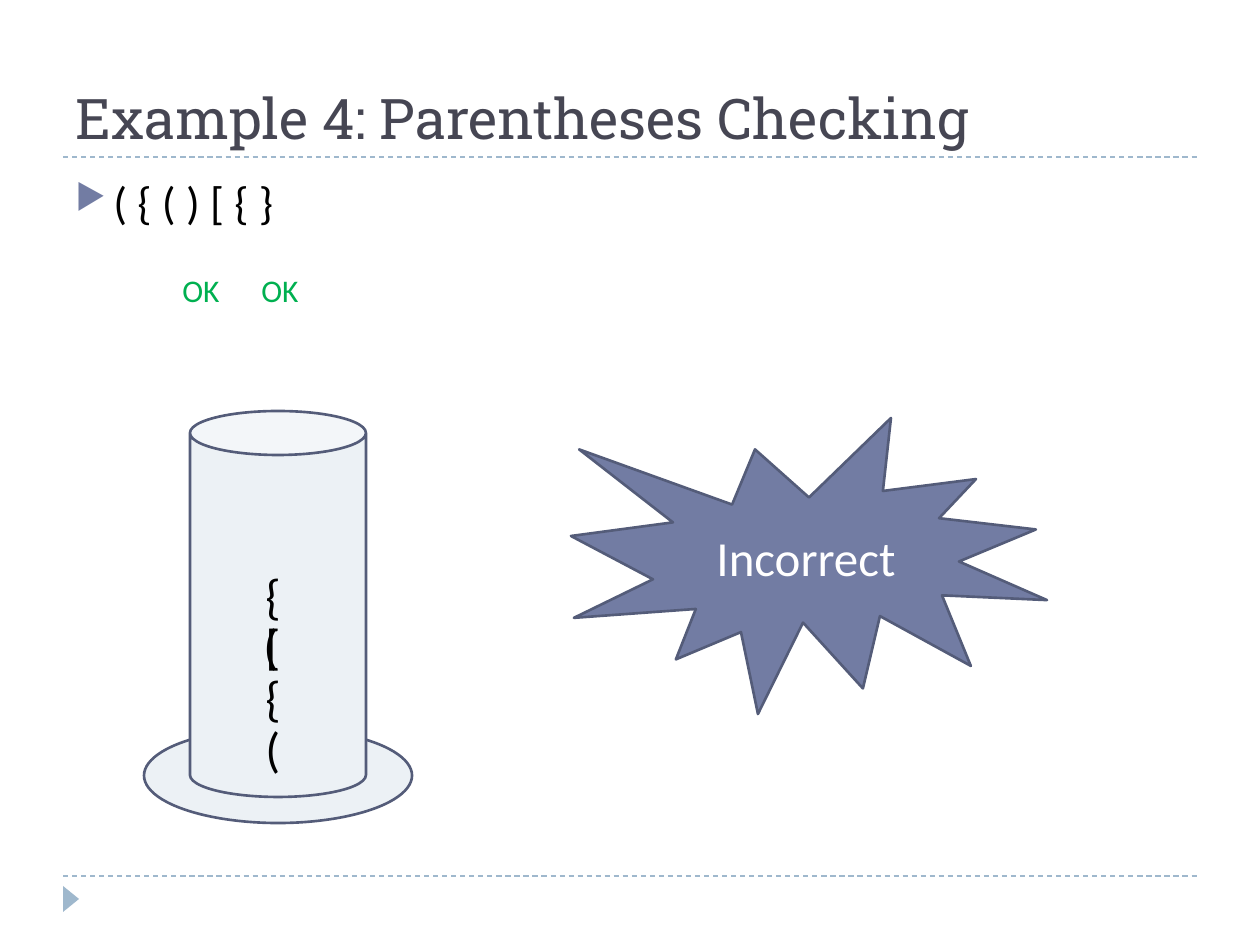
from lxml.etree import SubElement as Sub
from pptx import Presentation
from pptx.dml.color import RGBColor
from pptx.enum.dml import MSO_LINE as Dash
from pptx.enum.shapes import MSO_CONNECTOR as Conn, MSO_SHAPE as Kind
from pptx.enum.text import MSO_ANCHOR as Anchor, MSO_AUTO_SIZE as Fit, PP_ALIGN as Align
from pptx.oxml.ns import qn
from pptx.util import Pt

BLACK = RGBColor(0, 0, 0)
WHITE = RGBColor(255, 255, 255)
INK = RGBColor(0x46, 0x46, 0x53)
SLATE = RGBColor(0x72, 0x7C, 0xA3)
EDGE = RGBColor(0x54, 0x5C, 0x79)
PALE = RGBColor(0xEC, 0xF1, 0xF5)
SKY = RGBColor(0x9F, 0xB8, 0xCD)
GREEN = RGBColor(0x00, 0xB0, 0x50)


def px(n):
    return round(n * 914400 / 126)


def write(frame, text, size=28, color=BLACK, font="Calibri",
          align=Align.LEFT, anchor=Anchor.TOP):
    frame.vertical_anchor = anchor
    para = frame.paragraphs[0]
    para.alignment = align
    run = para.add_run()
    run.text = text
    run.font.size = Pt(size)
    run.font.name = font
    run.font.color.rgb = color
    return para


class Deck:
    def __init__(self, wide, high):
        self.show = Presentation()
        self.show.slide_width = px(wide)
        self.show.slide_height = px(high)
        self.slide = self.show.slides.add_slide(self.show.slide_layouts[5])
        self.items = self.slide.shapes

    def title(self, text, *box):
        head = self.items.title
        head.left, head.top, head.width, head.height = map(px, box)
        head.text_frame.word_wrap = True
        head.text_frame.auto_size = Fit.NONE
        write(head.text_frame, text, size=32, color=INK,
              font="Roboto Slab", anchor=Anchor.BOTTOM)

    def rule(self, left, right, y):
        line = self.items.add_connector(Conn.STRAIGHT, px(left), px(y), px(right), px(y))
        line.line.color.rgb = SKY
        line.line.width = Pt(0.75)
        line.line.dash_style = Dash.DASH
        Sub(line._element.spPr, qn("a:effectLst"))

    def shape(self, kind, *box, fill=PALE, edge=EDGE, turn=0):
        item = self.items.add_shape(kind, *map(px, box))
        item.shadow.inherit = False
        item.rotation = turn
        item.fill.solid()
        item.fill.fore_color.rgb = fill
        if edge is None:
            item.line.fill.background()
        else:
            item.line.color.rgb = edge
            item.line.width = Pt(1.5)
        return item

    def bullet(self, text, *box):
        frame = self.items.add_textbox(*map(px, box)).text_frame
        frame.word_wrap = True
        para = write(frame, text, size=26)
        para.space_before = Pt(6)
        props = para._p.get_or_add_pPr()
        props.set("marL", str(px(38)))
        props.set("indent", str(px(-38)))
        tint = Sub(props, qn("a:buClr"))
        Sub(tint, qn("a:srgbClr"), val=str(SLATE))
        Sub(props, qn("a:buSzPct"), val="76000")
        Sub(props, qn("a:buChar"), char="\u25b6")

    def label(self, text, *box, **style):
        frame = self.items.add_textbox(*map(px, box)).text_frame
        frame.word_wrap = False
        frame.auto_size = Fit.SHAPE_TO_FIT_TEXT
        write(frame, text, **style)


deck = Deck(1260, 945)
for y in (876, 157):
    deck.rule(63, 1197, y)
deck.shape(Kind.ISOSCELES_TRIANGLE, 58, 891, 26, 16, fill=SKY, edge=None, turn=90)
deck.title("Example 4: Parentheses Checking", 63, 21, 1134, 136)
deck.bullet("( { ( ) [ { }", 63, 168, 1134, 680)

deck.shape(Kind.OVAL, 144, 728, 268, 95)
deck.shape(Kind.CAN, 190, 411, 176, 386)
for sign, x, y in (("(", 253, 712), ("{", 253, 661), ("(", 251, 609),
                   ("[", 253, 609), ("{", 253, 559)):
    deck.label(sign, x, y, 42, 72)

burst = deck.shape(Kind.EXPLOSION1, 571, 418, 476, 296, fill=SLATE)
write(burst.text_frame, "Incorrect", color=WHITE, align=Align.CENTER, anchor=Anchor.MIDDLE)
for x in (170, 249):
    deck.label("OK", x, 265, 73, 50, size=18, color=GREEN)

deck.show.save("out.pptx")
